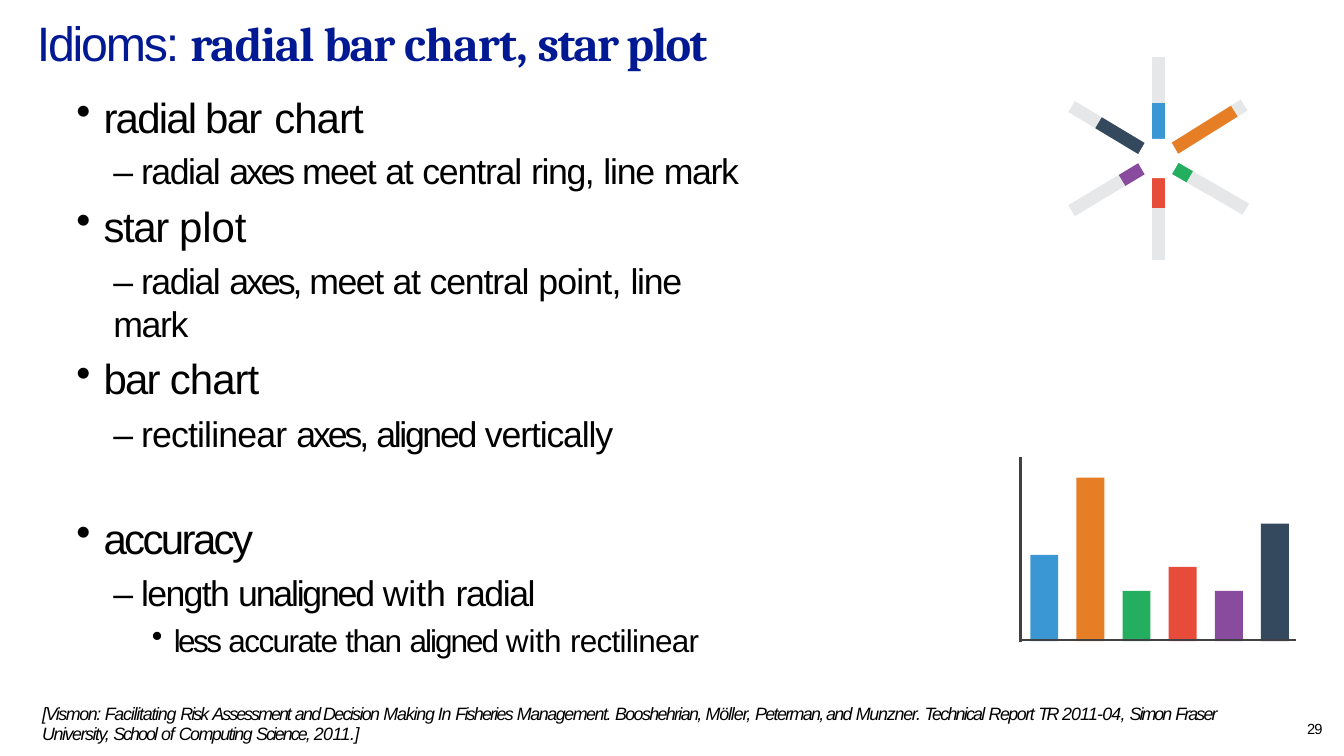
import math
from typing import NamedTuple

from lxml import etree
from pptx import Presentation
from pptx import util as u
from pptx.dml.color import RGBColor
from pptx.enum import shapes, text
from pptx.oxml.ns import qn

NAVY = RGBColor(0x01, 0x19, 0x93)
BLACK = RGBColor(0, 0, 0)
WHITE = RGBColor(0xFF, 0xFF, 0xFF)
TRACK_GREY = RGBColor(0xE6, 0xE7, 0xE8)
AXIS_GREY = RGBColor(0x41, 0x40, 0x42)
BLUE = RGBColor(0x3B, 0x97, 0xD3)
ORANGE = RGBColor(0xE5, 0x7E, 0x25)
GREEN = RGBColor(0x24, 0xAE, 0x5F)
RED = RGBColor(0xE7, 0x4C, 0x3B)
PURPLE = RGBColor(0x89, 0x4B, 0x9D)
SLATE = RGBColor(0x35, 0x49, 0x5E)


class Run(NamedTuple):
    text: str
    tracking: float
    font: str = "Arial"
    bold: bool = False


class Level(NamedTuple):
    size: float
    margin: float
    indent: float
    bullet: bool


class Item(NamedTuple):
    level: Level
    space_before: float
    runs: list[Run]
    tab: float | None = None


class Category(NamedTuple):
    color: RGBColor
    bar_height: float
    angle: float  # degrees clockwise from the top
    radius: float


TOPIC = Level(40, 0.97, -0.91, True)
DETAIL = Level(34, 1.3, 0, False)
NOTE = Level(30, 3.33, -0.74, True)

TITLE = [
    Run("Idioms: ", -2.1), Run("radial ", -1, "Cambria", True),
    Run("bar ", -1.6, "Cambria", True), Run("chart, ", -0.7, "Cambria", True),
    Run("star plot", -1.6, "Cambria", True),
]
ITEMS = [
    Item(TOPIC, 0, [Run("radial bar\t", -1.7), Run("chart", -0.9)], 6.71),
    Item(DETAIL, 7.2, [
        Run("– ", -1.9), Run("radial ", -1.4), Run("axes ", -3), Run("meet ", -1.4),
        Run("at ", -1.3), Run("central ", -1.1), Run("ring, ", -1.3),
        Run("line ", -1.2), Run("mark", -1.3)]),
    Item(TOPIC, 8.1, [Run("star\t", -1.3), Run("plot", -0.1)], 3.51),
    Item(DETAIL, 7.3, [
        Run("– ", -1.9), Run("radial ", -1.4), Run("axes, ", -2.9), Run("meet ", -1.4),
        Run("at ", -1.3), Run("central ", -1.1), Run("point, ", -0.8),
        Run("line ", -1.2), Run("mark", -1.3)]),
    Item(TOPIC, 8.1, [Run("bar\t", -1.7), Run("chart", -0.9)], 3.2),
    Item(DETAIL, 7.8, [
        Run("– ", -1.9), Run("rectilinear ", -0.8), Run("axes, ", -2.9),
        Run("aligned ", -2.2), Run("vertically", -1.1)]),
    Item(TOPIC, 55.5, [Run("accuracy", -2.5)]),
    Item(DETAIL, 7.7, [
        Run("– ", -1.9), Run("length ", -1.6), Run("unaligned ", -2.1),
        Run("with ", -0.1), Run("radial", -1.4)]),
    Item(NOTE, 6.5, [
        Run("less ", -2.4), Run("accurate ", -1.5), Run("than ", -1.4),
        Run("aligned ", -1.9), Run("with ", -0.1), Run("rectilinear", -0.7)]),
]
CITATION = [
    Run("[Vismon: ", -1.4), Run("Facilitating ", -1.2), Run("Risk ", -1.8),
    Run("Assessment ", -1.9), Run("and Decision ", -1.6), Run("Making In ", -1.1),
    Run("Fisheries ", -1.7), Run("Management. ", -1.4), Run("Booshehrian, ", -1.6),
    Run("Möller, ", -1.1), Run("Peterman, and ", -1.6), Run("Munzner. ", -1.2),
    Run("Technical ", -1.7), Run("Report ", -1.4), Run("TR ", -2.5),
    Run("2011-04, ", -0.8), Run("Simon ", -1.9), Run("Fraser ", -1.8),
    Run("University, ", -1.4), Run("School ", -1.9), Run("of ", -1),
    Run("Computing ", -1.5), Run("Science, ", -1.9), Run("2011.]", -0.5),
]
CATEGORIES = [
    Category(BLUE, 2.9, 0, 1.88),
    Category(ORANGE, 5.49, 58, 3.01),
    Category(GREEN, 1.69, 120, 1.22),
    Category(RED, 2.49, 180, 1.65),
    Category(PURPLE, 1.69, 239, 1.42),
    Category(SLATE, 3.95, 301, 2.34),
]
BAR_LEFT, BAR_BASE, BAR_WIDTH, BAR_PITCH = 34.62, 21.54, 0.94, 1.55
CENTER_X, CENTER_Y = 38.92, 5.33
INNER_RADIUS, OUTER_RADIUS, SPOKE_WIDTH = 0.62, 3.4, 0.43


def set_frame(shape, left: float, top: float, width: float, height: float, inset: float):
    shape.left, shape.top = u.Cm(left), u.Cm(top)
    shape.width, shape.height = u.Cm(width), u.Cm(height)
    frame = shape.text_frame
    frame.word_wrap = True
    frame.auto_size = text.MSO_AUTO_SIZE.NONE
    frame.vertical_anchor = text.MSO_ANCHOR.TOP
    frame.margin_left = frame.margin_right = frame.margin_bottom = 0
    frame.margin_top = u.Cm(inset)
    return frame


def add_text_box(slide, *place: float):
    return set_frame(slide.shapes.add_textbox(0, 0, 0, 0), *place)


def add_runs(paragraph, runs: list[Run], size: float, color: RGBColor, italic: bool = False):
    paragraph.alignment = text.PP_ALIGN.LEFT
    for item in runs:
        run = paragraph.add_run()
        run.text = item.text
        font = run.font
        font.name, font.size, font.bold, font.italic = item.font, u.Pt(size), item.bold, italic
        font.color.rgb = color
        font._element.set("spc", str(round(item.tracking * 100)))


def format_level(paragraph, item: Item):
    """Set the indents, bullet and tab stops of a list paragraph."""
    level = item.level
    properties = paragraph._p.get_or_add_pPr()
    properties.set("marL", str(u.Cm(level.margin)))
    properties.set("indent", str(u.Cm(level.indent)))
    if level.bullet:
        etree.SubElement(properties, qn("a:buChar"), char="•")
    if item.tab:
        stops = etree.SubElement(properties, qn("a:tabLst"))
        for position in (level.margin, item.tab):
            etree.SubElement(stops, qn("a:tab"), pos=str(u.Cm(position)), algn="l")
    paragraph.space_before = u.Pt(item.space_before)


def paint(shape, color: RGBColor):
    shape.shadow.inherit = False
    shape.fill.solid()
    shape.fill.fore_color.rgb = color
    shape.line.fill.background()


def add_axis(slide, x1: float, y1: float, x2: float, y2: float):
    line = slide.shapes.add_connector(
        shapes.MSO_CONNECTOR.STRAIGHT, u.Cm(x1), u.Cm(y1), u.Cm(x2), u.Cm(y2))
    line.line.color.rgb = AXIS_GREY
    line.line.width = u.Pt(2)
    etree.SubElement(line._element.spPr, qn("a:effectLst"))


def add_spoke(slide, angle: float, radius: float, color: RGBColor):
    """Draw a bar that runs outward from the central ring to the radius."""
    sine, cosine = math.sin(math.radians(angle)), math.cos(math.radians(angle))
    half = SPOKE_WIDTH / 2
    corners = [
        (u.Cm(CENTER_X + along * sine + across * cosine),
         u.Cm(CENTER_Y - along * cosine + across * sine))
        for along, across in ((INNER_RADIUS, -half), (radius, -half),
                              (radius, half), (INNER_RADIUS, half))]
    builder = slide.shapes.build_freeform(*corners[0])
    builder.add_line_segments(corners[1:], close=True)
    paint(builder.convert_to_shape(), color)


def add_radial_bars(slide):
    for category in CATEGORIES:
        add_spoke(slide, category.angle, OUTER_RADIUS, TRACK_GREY)
    for category in CATEGORIES:
        add_spoke(slide, category.angle, category.radius, category.color)
    ring = slide.shapes.add_shape(
        shapes.MSO_SHAPE.HEXAGON, u.Cm(38.16), u.Cm(4.67), u.Cm(1.52), u.Cm(1.32))
    ring.adjustments[0] = 0.29
    paint(ring, WHITE)


def add_bars(slide):
    for index, category in enumerate(CATEGORIES):
        bar = slide.shapes.add_shape(
            shapes.MSO_SHAPE.RECTANGLE, u.Cm(BAR_LEFT + index * BAR_PITCH),
            u.Cm(BAR_BASE - category.bar_height), u.Cm(BAR_WIDTH), u.Cm(category.bar_height))
        paint(bar, category.color)
    add_axis(slide, 34.26, 21.51, 43.54, 21.51)
    add_axis(slide, 34.29, 15.34, 34.29, 21.56)


def main():
    presentation = Presentation()
    presentation.slide_width, presentation.slide_height = u.Cm(45.16), u.Cm(25.4)
    slide = presentation.slides.add_slide(presentation.slide_layouts[5])

    title = set_frame(slide.shapes.title, 1.24, 0.38, 25.12, 2, 0.07)
    add_runs(title.paragraphs[0], TITLE, 46, NAVY)

    body = add_text_box(slide, 2.51, 2.74, 22.86, 17.98, 0.33)
    for index, item in enumerate(ITEMS):
        paragraph = body.add_paragraph() if index else body.paragraphs[0]
        format_level(paragraph, item)
        add_runs(paragraph, item.runs, item.level.size, BLACK)

    number = add_text_box(slide, 43.92, 24.16, 0.56, 0.66, 0.03)
    add_runs(number.paragraphs[0], [Run("29", -0.8)], 14, BLACK)

    citation = add_text_box(slide, 1.42, 23.57, 41.76, 1.45, 0.1)
    citation.paragraphs[0].line_spacing = u.Pt(19)
    add_runs(citation.paragraphs[0], CITATION, 17, BLACK, italic=True)

    add_bars(slide)
    add_radial_bars(slide)
    presentation.save("out.pptx")


if __name__ == "__main__":
    main()
